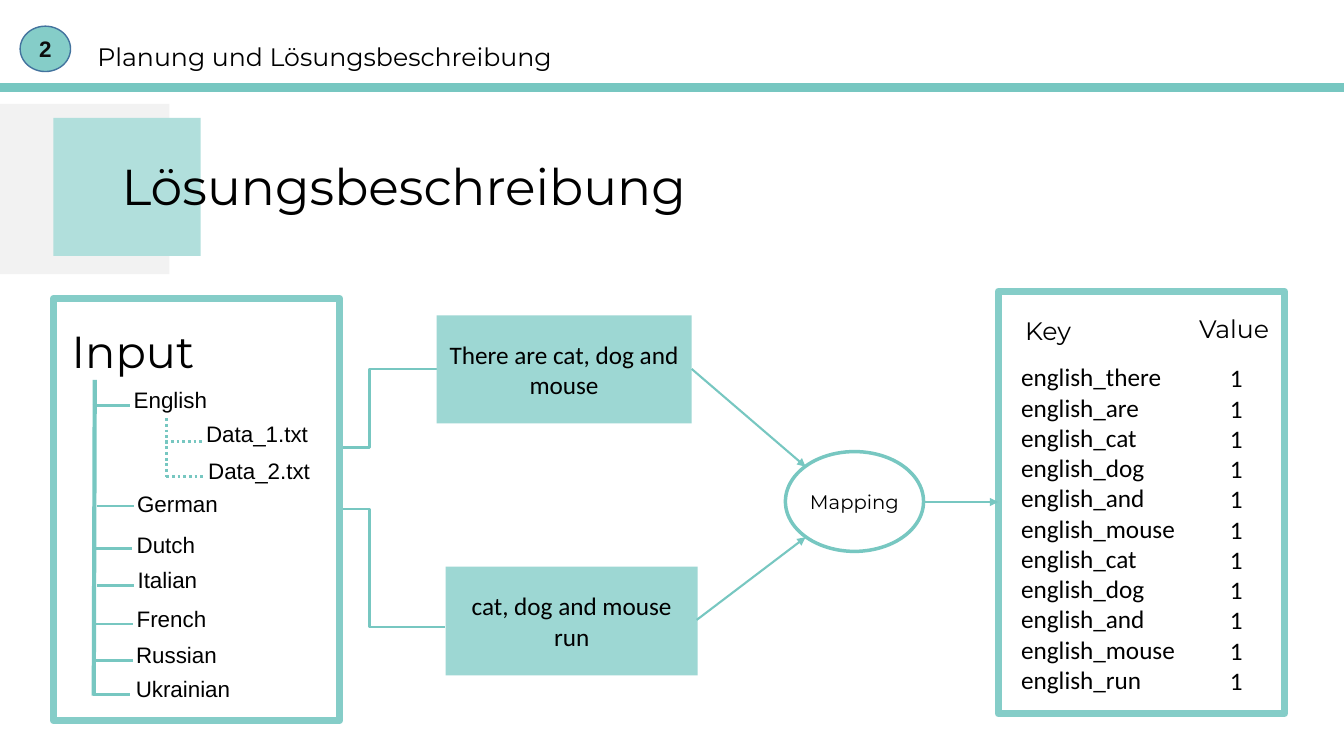
"""Build the solution description slide with its word-mapping diagram."""
import pptx
import pptx.dml.color
import pptx.enum.dml
import pptx.enum.shapes
import pptx.enum.text
import pptx.oxml
import pptx.oxml.ns
import pptx.util

PX = 9144
SLIDE = (1333, 750)
COLORS = {"accent": "77C7C1", "frame": "85CDC8", "box": "9DD7D3", "square": "B1DFDC",
          "grey": "F2F2F2", "white": "FFFFFF", "black": "000000", "ink": "0D0D0D",
          "badge": "43739E"}
SHAPE = pptx.enum.shapes.MSO_SHAPE
CONNECTOR = pptx.enum.shapes.MSO_CONNECTOR
ALIGN = pptx.enum.text.PP_ALIGN
ANCHOR = pptx.enum.text.MSO_ANCHOR
FIT = pptx.enum.text.MSO_AUTO_SIZE.SHAPE_TO_FIT_TEXT
DOTTED = pptx.enum.dml.MSO_LINE.ROUND_DOT

FONTS = {
    "title": {"name": "Montserrat", "size": 36},
    "input": {"name": "Montserrat", "size": 32},
    "heading": {"name": "Montserrat", "size": 18},
    "mapping": {"name": "Montserrat", "size": 14},
    "tree": {"name": "Arial", "size": 16},
    "badge": {"name": "Arial", "size": 16, "bold": True, "color": "ink"},
    "words": {"name": "Calibri", "size": 18},
}
TITLE = ("Lösungsbeschreibung", (89, 149, 623, 71))
HEADER = ("Planung und Lösungsbeschreibung", (72, 36, 500, 71))
PAGE = ("2", (20, 26, 50, 45))
SQUARES = [((0, 103, 168, 169), "grey"), ((53, 117, 146, 137), "square")]
INPUT = ("Input", (58, 316, 148, 64))
INPUT_FRAME = (53, 296, 284, 419)
RESULT_FRAME = (990, 289, 284, 419)
BRANCH = 37
LANGUAGES = [
    ("English", (113, 378, 112, 37), (92, 402)),
    ("German", (120, 481, 112, 37), (96, 502)),
    ("Dutch", (124, 522, 81, 37), (94, 544)),
    ("Italian", (125, 557, 82, 37), (96, 581)),
    ("French", (114, 595, 112, 37), (95, 619)),
    ("Russian", (119, 631, 112, 37), (95, 655)),
    ("Ukrainian", (120, 665, 123, 37), (92, 689)),
]
FILES = [
    ("Data_1.txt", (183, 412, 144, 37), (164, 438)),
    ("Data_2.txt", (185, 449, 144, 37), (165, 473)),
]
STEMS = [((94, 377), (93, 690), 3, None), ((165, 415), (165, 473), 2, DOTTED)]
SENTENCES = [
    ("There are cat, dog and mouse", (433, 313, 253, 107)),
    ("cat, dog and mouse run", (442, 562, 250, 108)),
]
FEEDS = [((300, 444), (433, 366)), ((292, 505), (441, 622))]
MAPPING_OVAL = (779, 448, 137, 99)
MAPPING = ("Mapping", (792, 481, 111, 34))
ARROWS = [((686, 366), (799, 463)), ((691, 615), (799, 533)), ((916, 498), (990, 498))]
KEY = ("Key", (1003, 308, 73, 40))
VALUE = ("Value", (1174, 306, 100, 40))
WORDS = ["there", "are", "cat", "dog", "and", "mouse", "cat", "dog", "and", "mouse", "run"]
KEYS_BOX = (1003, 354, 207, 343)
COUNTS_BOX = (1210, 355, 44, 343)


def px(lengths):
    return [length * PX for length in lengths]


def rgb(color):
    return pptx.dml.color.RGBColor.from_string(COLORS[color])


def write(shape, lines, style, align=ALIGN.CENTER, **frame_format):
    frame = shape.text_frame
    frame.text = "\n".join(lines)
    for name, value in frame_format.items():
        setattr(frame, name, value)
    font_format = {"bold": False, **FONTS[style]}
    color = font_format.pop("color", "black")
    font_format["size"] = pptx.util.Pt(font_format["size"])
    for paragraph in frame.paragraphs:
        paragraph.alignment = align
        for run in paragraph.runs:
            run.font.color.rgb = rgb(color)
            for name, value in font_format.items():
                setattr(run.font, name, value)


def add_label(slide, lines, box, style, wrap=True, align=ALIGN.CENTER):
    label = slide.shapes.add_textbox(*px(box))
    write(label, lines, style, align, word_wrap=wrap, auto_size=FIT)


def add_block(slide, kind, box, fill, outline=None, width=1):
    block = slide.shapes.add_shape(kind, *px(box))
    block.shadow.inherit = False
    block.fill.solid()
    block.fill.fore_color.rgb = rgb(fill)
    if outline:
        block.line.color.rgb = rgb(outline)
        block.line.width = pptx.util.Pt(width)
    else:
        block.line.fill.background()
    return block


def add_link(slide, start, end, width, kind=CONNECTOR.STRAIGHT, dash=None, arrow=False):
    link = slide.shapes.add_connector(kind, *px(start + end))
    link.line.color.rgb = rgb("accent")
    link.line.width = pptx.util.Pt(width)
    if dash:
        link.line.dash_style = dash
    if arrow:
        namespace = pptx.oxml.ns.nsdecls("a")
        link.line._get_or_add_ln().append(
            pptx.oxml.parse_xml(f'<a:tailEnd {namespace} type="triangle"/>'))
    properties = link.element.spPr
    properties.append(properties.makeelement(pptx.oxml.ns.qn("a:effectLst")))


def add_heading(slide):
    for box, fill in SQUARES:
        add_block(slide, SHAPE.RECTANGLE, box, fill)
    add_link(slide, (0, 87), (SLIDE[0], 87), 6.5)
    add_label(slide, [HEADER[0]], HEADER[1], "heading", wrap=False)
    badge = add_block(slide, SHAPE.OVAL, PAGE[1], "frame", "badge")
    write(badge, [PAGE[0]], "badge", vertical_anchor=ANCHOR.MIDDLE)
    title = slide.shapes.title
    title.left, title.top, title.width, title.height = px(TITLE[1])
    write(title, [TITLE[0]], "title", vertical_anchor=ANCHOR.TOP,
          word_wrap=False, auto_size=FIT)
    title.element.getparent().append(title.element)


def add_input(slide):
    add_block(slide, SHAPE.RECTANGLE, INPUT_FRAME, "white", "frame", 5)
    add_label(slide, [INPUT[0]], INPUT[1], "input", wrap=False)
    for start, end, width, dash in STEMS:
        add_link(slide, start, end, width, dash=dash)
    for entries, dash in ((LANGUAGES, None), (FILES, DOTTED)):
        for name, box, (x, y) in entries:
            add_link(slide, (x, y), (x + BRANCH, y), 2, dash=dash)
            add_label(slide, [name], box, "tree")


def add_mapping(slide):
    for sentence, box in SENTENCES:
        block = add_block(slide, SHAPE.RECTANGLE, box, "box")
        write(block, [sentence], "words", vertical_anchor=ANCHOR.MIDDLE, word_wrap=True)
    add_block(slide, SHAPE.OVAL, MAPPING_OVAL, "white", "accent", 2.5)
    add_label(slide, [MAPPING[0]], MAPPING[1], "mapping", wrap=False)


def add_result(slide):
    add_block(slide, SHAPE.RECTANGLE, RESULT_FRAME, "white", "frame", 5)
    add_label(slide, [f"english_{word}" for word in WORDS], KEYS_BOX, "words",
              align=ALIGN.LEFT)
    add_label(slide, ["1"] * len(WORDS), COUNTS_BOX, "words", align=ALIGN.LEFT)
    add_label(slide, [KEY[0]], KEY[1], "heading", wrap=False)
    add_label(slide, [VALUE[0]], VALUE[1], "heading")


def main():
    deck = pptx.Presentation()
    deck.slide_width, deck.slide_height = px(SLIDE)
    slide = deck.slides.add_slide(deck.slide_layouts[5])
    for start, end in FEEDS:
        add_link(slide, start, end, 1.5, CONNECTOR.ELBOW)
    add_heading(slide)
    add_input(slide)
    add_mapping(slide)
    add_result(slide)
    for start, end in ARROWS:
        add_link(slide, start, end, 1.5, arrow=True)
    deck.save("out.pptx")


if __name__ == "__main__":
    main()
